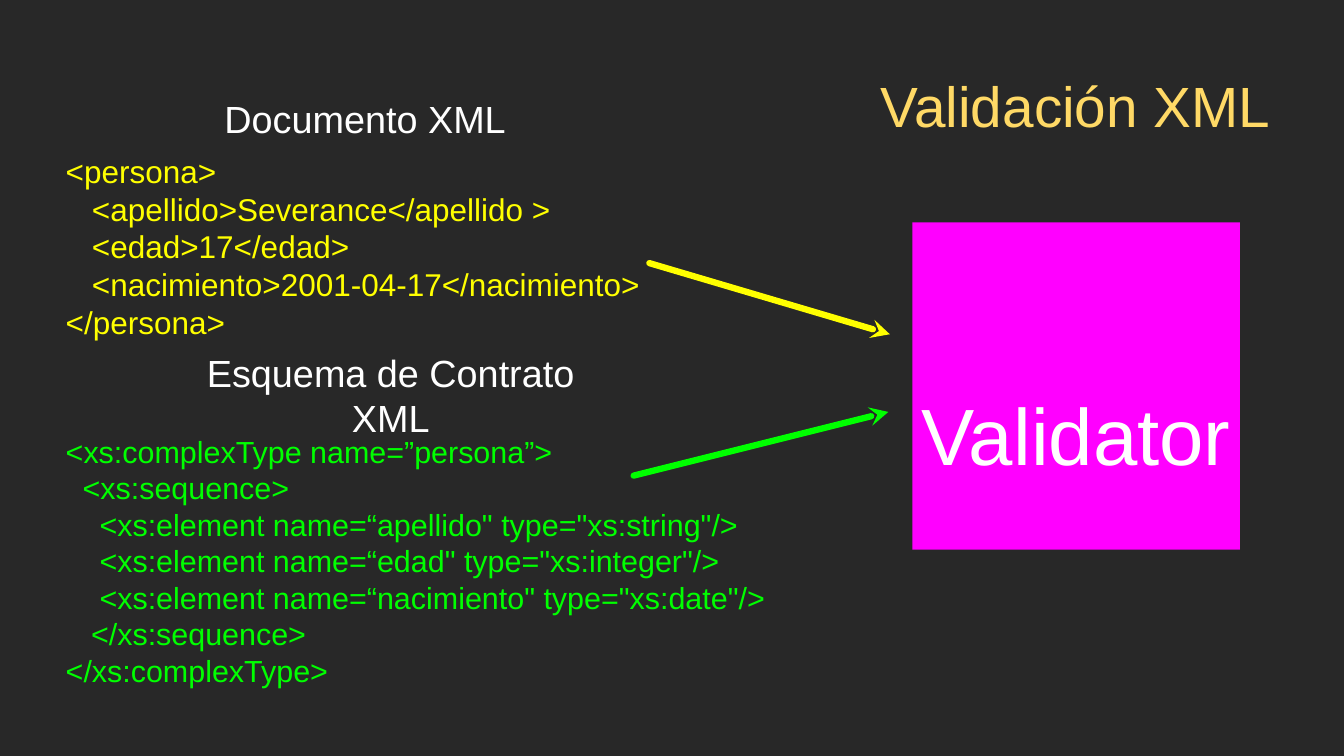
"""Build the slide about validating an XML document against its schema."""
from dataclasses import dataclass

from lxml import etree
from pptx import Presentation
from pptx.dml.color import RGBColor
from pptx.enum import shapes, text
from pptx.oxml import ns
from pptx.util import Cm, Pt

BACKGROUND = RGBColor(0x28, 0x28, 0x28)
WHITE = RGBColor(0xFF, 0xFF, 0xFF)
YELLOW = RGBColor(0xFF, 0xFF, 0x00)
GREEN = RGBColor(0x00, 0xFF, 0x00)
GOLD = RGBColor(0xFF, 0xD9, 0x66)
MAGENTA = RGBColor(0xFF, 0x00, 0xFF)
FONT = "Arial"
LINE_HEIGHT = 1.2
VALIDATOR_SIZE = 76

DOCUMENT_CODE = """<persona>
   <apellido>Severance</apellido >
   <edad>17</edad>
   <nacimiento>2001-04-17</nacimiento>
</persona>"""

SCHEMA_CODE = """<xs:complexType name=”persona”>
  <xs:sequence>
    <xs:element name=“apellido" type="xs:string"/>
    <xs:element name=“edad" type="xs:integer"/>
    <xs:element name=“nacimiento" type="xs:date"/>
   </xs:sequence>
</xs:complexType>"""


@dataclass(frozen=True)
class Box:
    left: float
    top: float
    width: float
    height: float

    def lengths(self) -> tuple:
        return Cm(self.left), Cm(self.top), Cm(self.width), Cm(self.height)


@dataclass(frozen=True)
class Label:
    box: Box
    content: str
    size: int
    color: RGBColor
    alignment: text.PP_ALIGN


@dataclass(frozen=True)
class Arrow:
    start: tuple[float, float]
    end: tuple[float, float]
    color: RGBColor


LABELS = [
    Label(Box(2.21, 5.05, 20.37, 6.45), DOCUMENT_CODE, 30, YELLOW, text.PP_ALIGN.LEFT),
    Label(Box(2.21, 14.3, 24.64, 9.07), SCHEMA_CODE, 29, GREEN, text.PP_ALIGN.LEFT),
    Label(Box(6.68, 12.4, 12.9, 1.73), "Esquema de Contrato XML", 36, WHITE, text.PP_ALIGN.CENTER),
    Label(Box(6.68, 3.1, 11.18, 1.73), "Documento XML", 36, WHITE, text.PP_ALIGN.CENTER),
]
TITLE = Label(Box(29.36, 2.11, 13.56, 2.79), "Validación XML", 54, GOLD, text.PP_ALIGN.CENTER)
VALIDATOR = Label(Box(30.66, 7.47, 11, 11), "Validator", VALIDATOR_SIZE, WHITE, text.PP_ALIGN.CENTER)
ARROWS = [
    Arrow((21.82, 8.84), (29.9, 11.23), YELLOW),
    Arrow((21.29, 15.98), (29.85, 13.84), GREEN),
]


def write_label(shape, label: Label) -> None:
    frame = shape.text_frame
    frame.text = label.content
    frame.word_wrap = True
    frame.auto_size = text.MSO_AUTO_SIZE.NONE
    frame.vertical_anchor = text.MSO_ANCHOR.MIDDLE
    frame.margin_left = frame.margin_top = frame.margin_right = frame.margin_bottom = 0
    for paragraph in frame.paragraphs:
        paragraph.alignment = label.alignment
        paragraph.line_spacing = Pt(label.size * LINE_HEIGHT)
        paragraph.font.name = FONT
        paragraph.font.size = Pt(label.size)
        paragraph.font.color.rgb = label.color


def add_title(slide, label: Label) -> None:
    title = slide.shapes.title
    title.left, title.top, title.width, title.height = label.box.lengths()
    write_label(title, label)


def add_validator(slide, label: Label) -> None:
    square = slide.shapes.add_shape(shapes.MSO_SHAPE.RECTANGLE, *label.box.lengths())
    square.shadow.inherit = False
    square.fill.solid()
    square.fill.fore_color.rgb = MAGENTA
    square.line.fill.background()
    write_label(square, label)
    square.text_frame.margin_top = Pt(label.size * LINE_HEIGHT)


def add_arrow(slide, arrow: Arrow) -> None:
    ends = [Cm(value) for value in arrow.start + arrow.end]
    connector = slide.shapes.add_connector(shapes.MSO_CONNECTOR.STRAIGHT, *ends)
    connector.line.color.rgb = arrow.color
    connector.line.width = Pt(6)
    properties = connector.line._get_or_add_ln()
    properties.set("cap", "rnd")
    etree.SubElement(properties, ns.qn("a:round"))
    etree.SubElement(properties, ns.qn("a:tailEnd"), type="stealth")
    etree.SubElement(connector._element.spPr, ns.qn("a:effectLst"))


def main() -> None:
    presentation = Presentation()
    presentation.slide_width, presentation.slide_height = Cm(45.16), Cm(25.4)
    slide = presentation.slides.add_slide(presentation.slide_layouts.get_by_name("Title Only"))
    slide.background.fill.solid()
    slide.background.fill.fore_color.rgb = BACKGROUND
    add_title(slide, TITLE)
    add_validator(slide, VALIDATOR)
    for label in LABELS:
        write_label(slide.shapes.add_textbox(*label.box.lengths()), label)
    for arrow in ARROWS:
        add_arrow(slide, arrow)
    presentation.save("out.pptx")


if __name__ == "__main__":
    main()
